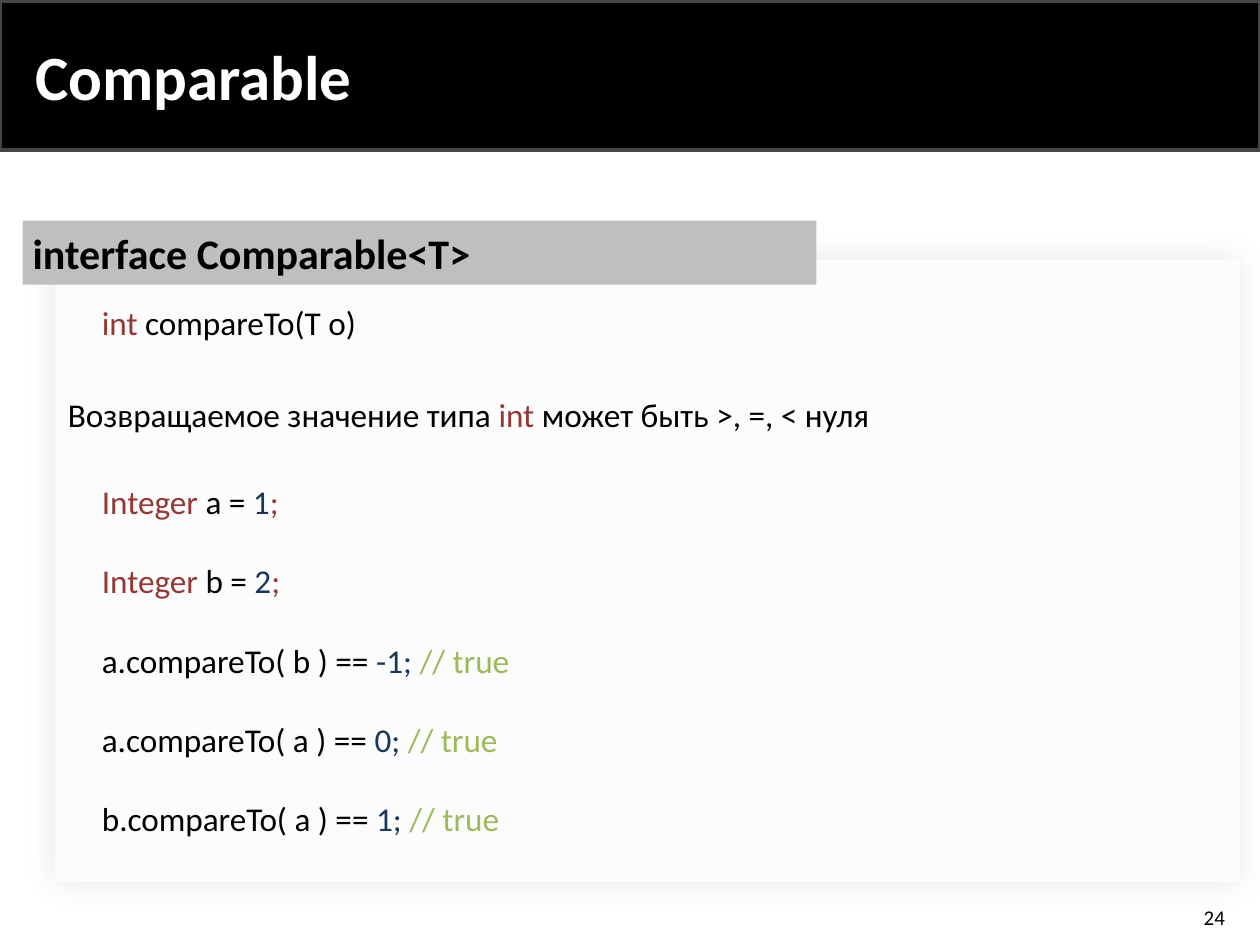
from lxml import etree
from pptx import Presentation
from pptx.dml.color import RGBColor
from pptx.enum.shapes import MSO_SHAPE as Shape
from pptx.enum.text import MSO_ANCHOR as Anchor, MSO_AUTO_SIZE as AutoSize, PP_ALIGN as Align
from pptx.oxml import parse_xml
from pptx.oxml.ns import nsdecls
from pptx.util import Inches, Pt

COLORS = {
    "black": "000000", "white": "FFFFFF", "border": "464646",
    "panel": "FCFCFC", "heading": "BFBFBF",
    "type": "953735", "number": "17375E", "comment": "9BBB59",
}
FONT = "Calibri"
CODE_SIZE = 19
BLANK_LINE = 22.5


class SlideBuilder:
    """Holds the style and the current slide."""

    def __init__(self, page):
        self.page = page

    def color(self, name):
        return RGBColor.from_string(COLORS[name])

    def place(self, shape, box):
        shape.left, shape.top, shape.width, shape.height = map(Inches, box)

    def style(self, para, size, color="black", bold=False):
        para.font.name = FONT
        para.font.size = Pt(size)
        para.font.bold = bold
        para.font.color.rgb = self.color(color)

    def rectangle(self, box, fill, border=None):
        shape = self.page.shapes.add_shape(Shape.RECTANGLE, *map(Inches, box))
        shape.shadow.inherit = False
        shape.fill.solid()
        shape.fill.fore_color.rgb = self.color(fill)
        if border:
            shape.line.color.rgb = self.color(border)
            shape.line.width = Pt(2)
        else:
            shape.line.fill.background()
        return shape

    def soft_shadow(self, shape, blur, opacity):
        effects = shape._element.spPr.find("{*}effectLst")
        effects.append(parse_xml(
            f'<a:outerShdw {nsdecls("a")} blurRad="{Pt(blur)}" dist="0" dir="0" '
            f'algn="ctr" rotWithShape="0"><a:srgbClr val="{COLORS["black"]}">'
            f'<a:alpha val="{opacity * 1000}"/></a:srgbClr></a:outerShdw>'))

    def heading(self, box, text):
        frame = self.rectangle(box, "heading").text_frame
        frame.margin_left = frame.margin_right = Inches(0.08)
        frame.margin_top = frame.margin_bottom = Inches(0.04)
        frame.vertical_anchor = Anchor.MIDDLE
        frame.word_wrap = True
        para = frame.paragraphs[0]
        para.text = text
        para.alignment = Align.LEFT
        para.space_after = Pt(6)
        self.style(para, 24, bold=True)

    def title(self, box, text):
        title = self.page.shapes.title
        self.place(title, box)
        frame = title.text_frame
        frame.vertical_anchor = Anchor.MIDDLE
        para = frame.paragraphs[0]
        para.text = text
        para.alignment = Align.LEFT
        self.style(para, 36, "white", bold=True)
        # Bring the title in front of the band
        self.page.shapes._spTree.append(title._element)

    def code(self, box, lines, wrap=False):
        text_box = self.page.shapes.add_textbox(*map(Inches, box))
        frame = text_box.text_frame
        frame.word_wrap = wrap
        frame.auto_size = AutoSize.SHAPE_TO_FIT_TEXT
        for index, spans in enumerate(lines):
            para = frame.add_paragraph() if index else frame.paragraphs[0]
            self.style(para, CODE_SIZE)
            if index:
                para.space_before = Pt(BLANK_LINE)
            for text, color in spans:
                span = para.add_run()
                span.text = text
                span.font.color.rgb = self.color(color)

    def page_number(self, box, number):
        frame = self.page.shapes.add_textbox(*map(Inches, box)).text_frame
        frame.word_wrap = True
        frame.vertical_anchor = Anchor.MIDDLE
        para = frame.paragraphs[0]
        para.text = str(number)
        para.alignment = Align.RIGHT
        self.style(para, 12)


def declaration(name, value):
    return [("Integer ", "type"), (f"{name} = ", "black"),
            (value, "number"), (";", "type")]


def comparison(left, right, result):
    return [(f"{left}.compareTo( {right} ) == ", "black"),
            (f"{result}; ", "number"), ("// true", "comment")]


def main():
    deck = Presentation()
    deck.slide_width, deck.slide_height = Inches(10), Inches(7.5)
    slide = SlideBuilder(deck.slides.add_slide(deck.slide_layouts[5]))

    # Title band
    slide.rectangle((0, 0.01, 10, 1.18), "black", border="border")

    # Panel with its heading
    panel = slide.rectangle((0.44, 2.06, 9.4, 4.94), "panel")
    slide.soft_shadow(panel, blur=19, opacity=10)
    slide.heading((0.18, 1.75, 6.3, 0.51), "interface Comparable<T>")

    slide.title((0.18, 0.1, 8.15, 1), "Comparable")
    slide.page_number((7.54, 7.13, 2.28, 0.3), 24)

    # Method signature and its meaning
    slide.code((0.71, 2.35, 2.25, 0.42),
               [[("int ", "type"), ("compareTo(T o)", "black")]])
    slide.code((0.44, 3.08, 6.65, 0.42),
               [[("Возвращаемое значение типа ", "black"), ("int ", "type"),
                 ("может быть >, =, < нуля", "black")]])

    # Usage example
    slide.code((0.71, 3.77, 6.38, 2.98), [
        declaration("a", "1"),
        declaration("b", "2"),
        comparison("a", "b", "-1"),
        comparison("a", "a", "0"),
        comparison("b", "a", "1"),
    ], wrap=True)

    deck.save("out.pptx")


if __name__ == "__main__":
    main()
